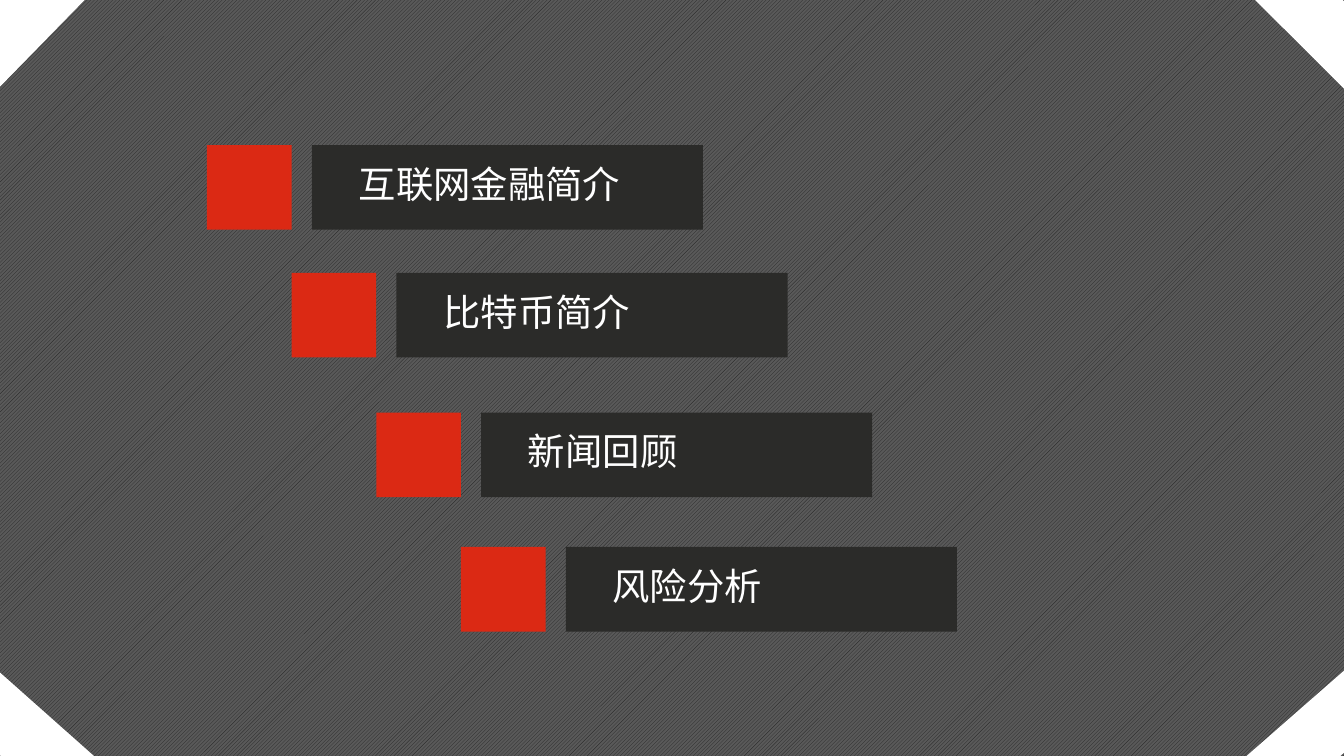
from typing import NamedTuple

from lxml.etree import SubElement
from pptx import Presentation
from pptx.dml.color import RGBColor
from pptx.enum.dml import MSO_PATTERN
from pptx.enum.shapes import MSO_SHAPE
from pptx.enum.text import MSO_AUTO_SIZE
from pptx.oxml.ns import qn
from pptx.shapes.autoshape import Shape
from pptx.slide import Slide
from pptx.util import Inches, Pt

COLORS = {
    "stripe": "262626",
    "ground": "595959",
    "corner": "FFFFFF",
    "marker": "DB2914",
    "bar": "2B2B29",
    "text": "FFFFFF",
}
FONT = "Noto Sans CJK SC"
SLIDE_WIDTH = 10
SLIDE_HEIGHT = SLIDE_WIDTH * 9 / 16
MARKER_SIZE = 0.63
FIRST_LEFT = 1.54
BAR_OFFSET = 0.78
BAR_WIDTH = 2.91
LABEL_OFFSET = 1.03


class Corner(NamedTuple):
    left: float
    top: float
    rotation: float


class AgendaItem(NamedTuple):
    text: str
    top: float


CORNERS = [
    Corner(-0.13, -0.77, 44.3),
    Corner(-0.16, 4.39, 131.6),
    Corner(9.6, 4.46, 48.8),
    Corner(9.63, -0.79, 134.9),
]
AGENDA = [
    AgendaItem("互联网金融简介", 1.08),
    AgendaItem("比特币简介", 2.03),
    AgendaItem("新闻回顾", 3.07),
    AgendaItem("风险分析", 4.07),
]


def color(name: str) -> RGBColor:
    return RGBColor.from_string(COLORS[name])


def add_block(slide: Slide, left: float, top: float, width: float,
              height: float, fill: str, rotation: float = 0) -> Shape:
    shape = slide.shapes.add_shape(
        MSO_SHAPE.RECTANGLE, Inches(left), Inches(top), Inches(width), Inches(height))
    shape.shadow.inherit = False
    shape.fill.solid()
    shape.fill.fore_color.rgb = color(fill)
    shape.line.fill.background()
    shape.rotation = rotation
    return shape


def add_label(slide: Slide, text: str, left: float, top: float, *,
              width: float = 4.75, height: float = 0.44,
              size: float = 20, fill: str = "text") -> Shape:
    box = slide.shapes.add_textbox(
        Inches(left), Inches(top), Inches(width), Inches(height))
    frame = box.text_frame
    frame.word_wrap = True
    frame.auto_size = MSO_AUTO_SIZE.SHAPE_TO_FIT_TEXT
    run = frame.paragraphs[0].add_run()
    run.text = text
    run.font.size = Pt(size)
    run.font.color.rgb = color(fill)
    run.font.name = FONT
    SubElement(run.font._element, qn("a:ea")).set("typeface", FONT)
    return box


def add_agenda_item(slide: Slide, item: AgendaItem, left: float) -> None:
    add_block(slide, left, item.top, MARKER_SIZE, MARKER_SIZE, "marker")
    add_block(slide, left + BAR_OFFSET, item.top, BAR_WIDTH, MARKER_SIZE, "bar")
    add_label(slide, item.text, left + LABEL_OFFSET, item.top + 0.07)


def set_background(slide: Slide) -> None:
    fill = slide.background.fill
    fill.patterned()
    fill.pattern = MSO_PATTERN.DARK_UPWARD_DIAGONAL
    fill.fore_color.rgb = color("stripe")
    fill.back_color.rgb = color("ground")


def main() -> None:
    presentation = Presentation()
    presentation.slide_width = Inches(SLIDE_WIDTH)
    presentation.slide_height = Inches(SLIDE_HEIGHT)
    slide = presentation.slides.add_slide(presentation.slide_layouts[6])
    set_background(slide)
    for corner in CORNERS:
        add_block(slide, corner.left, corner.top, 0.46, 1.97, "corner", corner.rotation)
    for index, item in enumerate(AGENDA):
        add_agenda_item(slide, item, FIRST_LEFT + index * MARKER_SIZE)
    presentation.save("out.pptx")


if __name__ == "__main__":
    main()
